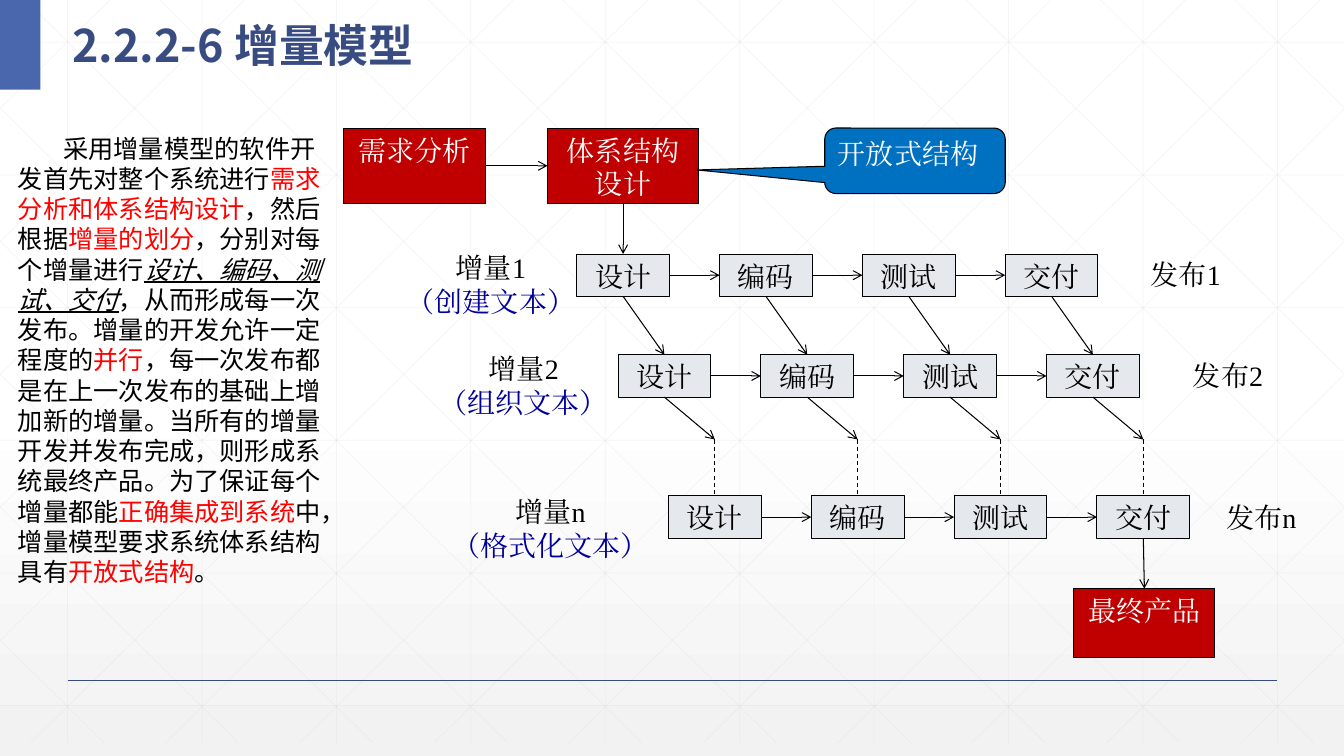
from lxml import etree
from pptx import Presentation
from pptx.dml.color import RGBColor
from pptx.enum.dml import MSO_LINE
from pptx.enum.shapes import MSO_CONNECTOR, MSO_SHAPE
from pptx.enum.text import MSO_ANCHOR, PP_ALIGN
from pptx.oxml.ns import qn
from pptx.util import Inches, Pt

BLACK = RGBColor(0x00, 0x00, 0x00)
WHITE = RGBColor(0xFF, 0xFF, 0xFF)
PALE = RGBColor(0xF2, 0xF2, 0xF2)
GRID = RGBColor(0xD9, 0xD9, 0xD9)
NAVY = RGBColor(0x38, 0x4C, 0x81)
ACCENT = RGBColor(0x4A, 0x66, 0xAC)
CRIMSON = RGBColor(0xC0, 0x00, 0x00)
RED = RGBColor(0xFF, 0x00, 0x00)
STEP = RGBColor(0xE5, 0xE9, 0xEE)
LABEL = RGBColor(0x00, 0x00, 0x99)
BLUE = RGBColor(0x00, 0x70, 0xC0)

WIDTH, HEIGHT = 13.33, 7.5
GRID_BOTTOM, GRID_RUN = 7.37, 7.45
TOP, LEFT, BOTTOM, RIGHT = range(4)

STEPS = ["设计", "编码", "测试", "交付"]
STEP_WIDTH, STEP_HEIGHT, STEP_PITCH = 0.92, 0.42, 4.25 / 3
PAUSE_Y = 4.36
# first step (left, top), label box, label name, label note, release (left, top), release name
INCREMENTS = [
    ((5.72, 2.52), (3.86, 2.44, 2.02, 0.72), "增量1", "（创建文本）", (11.3, 2.51), "发布1"),
    ((6.13, 3.52), (4.22, 3.44, 1.95, 0.83), "增量2", "（组织文本）", (11.72, 3.51), "发布2"),
    ((6.63, 4.92), (4.33, 4.86, 2.26, 0.66), "增量n", "（格式化文本）", (12.05, 4.92), "发布n"),
]
EMPHASIS = {"italic": True, "underline": True}
DESCRIPTION = [
    ("采用增量模型的软件开发首先对整个系统进行", {}),
    ("需求分析和体系结构设计", {"color": RED}),
    ("，然后根据", {}),
    ("增量的划分", {"color": RED}),
    ("，分别对每个增量进行", {}),
    ("设计、编码、测试、交付", EMPHASIS),
    ("，从而形成每一次发布。增量的开发允许一定程度的", {}),
    ("并行", {"color": RED}),
    ("，每一次发布都是在上一次发布的基础上增加新的增量。当所有的增量开发并发布完成，"
     "则形成系统最终产品。为了保证每个增量都能", {}),
    ("正确集成到系统", {"color": RED}),
    ("中，增量模型要求系统体系结构具有", {}),
    ("开放式结构", {"color": RED}),
    ("。", {}),
]


def add_span(para, text, color=BLACK, name="Times New Roman", size=20, **style):
    span = para.add_run()
    span.text = text
    for key, value in {"name": name, "size": Pt(size), **style}.items():
        setattr(span.font, key, value)
    span.font.color.rgb = color
    east_asian = etree.Element(qn("a:ea"), typeface=name)
    span.font._element.find(qn("a:latin")).addnext(east_asian)


def add_text(page, place, lines, align=PP_ALIGN.CENTER, anchor=MSO_ANCHOR.TOP):
    """Add a text box; each line is a list of (text, style) spans."""
    frame = page.shapes.add_textbox(*map(Inches, place)).text_frame
    frame.word_wrap = True
    frame.vertical_anchor = anchor
    for number, spans in enumerate(lines):
        para = frame.add_paragraph() if number else frame.paragraphs[0]
        para.alignment = align
        for text, style in spans:
            add_span(para, text, **style)
    return frame


def add_box(page, place, fill, text, color=WHITE, kind=MSO_SHAPE.RECTANGLE, align=PP_ALIGN.CENTER):
    box = page.shapes.add_shape(kind, *map(Inches, place))
    box.shadow.inherit = False
    box.fill.solid()
    box.fill.fore_color.rgb = fill
    box.line.color.rgb = BLACK
    box.line.width = Pt(0.75)
    box.text_frame.word_wrap = True
    box.text_frame.vertical_anchor = MSO_ANCHOR.TOP
    para = box.text_frame.paragraphs[0]
    para.alignment = align
    add_span(para, text, color)
    return box


def add_line(page, start, end, color=BLACK, width=0.75):
    line = page.shapes.add_connector(MSO_CONNECTOR.STRAIGHT, *map(Inches, (*start, *end)))
    line.line.color.rgb = color
    line.line.width = Pt(width)
    etree.SubElement(line._element.spPr, qn("a:effectLst"))
    return line


def add_link(page, start, end, arrow=True):
    """Join two ends, each either a point or a (box, side) pair."""
    ends = [(0, 0) if hasattr(target[0], "shape_type") else target for target in (start, end)]
    link = add_line(page, *ends)
    if hasattr(start[0], "shape_type"):
        link.begin_connect(*start)
    if hasattr(end[0], "shape_type"):
        link.end_connect(*end)
    if arrow:
        etree.SubElement(link.line._get_or_add_ln(), qn("a:tailEnd"), type="arrow")
    else:
        link.line.dash_style = MSO_LINE.DASH


def add_grid_line(page, start, end):
    line = add_line(page, start, end, GRID, 0.5)
    color = line._element.spPr.find(".//" + qn("a:srgbClr"))
    etree.SubElement(color, qn("a:alpha"), val="25000")


def add_diagonal(page, start_x, run):
    """Draw a slanted grid line, cut at the sides of the slide."""
    ends = []
    for x in (start_x, start_x + run):
        inside = min(max(x, 0), WIDTH)
        ends.append((inside, (inside - start_x) / run * GRID_BOTTOM))
    add_grid_line(page, *ends)


def add_backdrop(page):
    fill = page.background.fill
    fill.gradient()
    fill.gradient_angle = 270
    for stop, position, color in zip(fill.gradient_stops, (0.53, 1), (WHITE, PALE)):
        stop.position = position
        stop.color.rgb = color
    pitch = 4 / 3
    for column in range(10):
        x = 0.67 + column * pitch
        add_grid_line(page, (x, 0), (x, GRID_BOTTOM))
    for row in range(6):
        y = 0.42 + row * 1.316
        add_grid_line(page, (0, y), (WIDTH, y))
    for number in range(-5, 10):
        add_diagonal(page, 0.25 + number * pitch, GRID_RUN)
        add_diagonal(page, 13.09 - number * pitch, -GRID_RUN)
    add_line(page, (0.67, 6.75), (12.67, 6.75), NAVY, 1)
    tab = page.shapes.add_shape(MSO_SHAPE.RECTANGLE, 0, 0, Inches(0.4), Inches(0.89))
    tab.shadow.inherit = False
    tab.fill.solid()
    tab.fill.fore_color.rgb = ACCENT
    tab.line.fill.background()


def add_increment(page, origin, label_place, name, note, release_origin, release):
    """Add one row of steps with its label and release; return the step boxes."""
    left, top = origin
    boxes = [
        add_box(page, (left + number * STEP_PITCH, top, STEP_WIDTH, STEP_HEIGHT), STEP, step, BLACK)
        for number, step in enumerate(STEPS)
    ]
    for before, after in zip(boxes, boxes[1:]):
        add_link(page, (before, RIGHT), (after, LEFT))
    add_text(page, label_place, [[(name, {})], [(note, {"color": LABEL})]])
    add_text(page, (*release_origin, STEP_WIDTH, 0.6), [[(release, {})]])
    return boxes


def main():
    deck = Presentation()
    deck.slide_width, deck.slide_height = Inches(WIDTH), Inches(HEIGHT)
    page = deck.slides.add_slide(deck.slide_layouts[6])
    add_backdrop(page)

    title_style = {"name": "Noto Sans CJK SC", "size": 32, "color": NAVY, "bold": True}
    title = add_text(page, (0.62, 0, 9.35, 0.73), [[("2.2.2-6 增量模型", title_style)]],
                     PP_ALIGN.LEFT, MSO_ANCHOR.MIDDLE)
    title.paragraphs[0].line_spacing = 1.3

    analysis = add_box(page, (3.41, 1.27, 1.41, 0.75), CRIMSON, "需求分析")
    architecture = add_box(page, (5.43, 1.27, 1.5, 0.75), CRIMSON, "体系结构设计")
    first, second, last = [add_increment(page, *row) for row in INCREMENTS]
    product = add_box(page, (10.65, 5.84, 1.4, 0.68), CRIMSON, "最终产品")

    add_link(page, (analysis, RIGHT), (architecture, LEFT))
    add_link(page, (architecture, BOTTOM), (first[0], TOP))
    for number, (upper, middle, lower) in enumerate(zip(first, second, last)):
        pause = (INCREMENTS[-1][0][0] + STEP_WIDTH / 2 + number * STEP_PITCH, PAUSE_Y)
        add_link(page, (upper, BOTTOM), (middle, TOP))
        add_link(page, (middle, BOTTOM), pause)
        add_link(page, pause, (lower, TOP), arrow=False)
    add_link(page, (last[-1], BOTTOM), (product, TOP))

    callout = add_box(page, (8.18, 1.27, 1.79, 0.65), BLUE, "开放式结构",
                      kind=MSO_SHAPE.ROUNDED_RECTANGULAR_CALLOUT, align=PP_ALIGN.LEFT)
    for number, value in enumerate((-1.21, 0.14, 0.17)):
        callout.adjustments[number] = value

    spans = [(text, {"name": "Arial", "size": 18, **style}) for text, style in DESCRIPTION]
    description = add_text(page, (0.08, 1.27, 3.21, 4.64), [spans], PP_ALIGN.LEFT)
    description.paragraphs[0]._p.get_or_add_pPr().set("indent", str(Inches(0.45)))

    deck.save("out.pptx")


if __name__ == "__main__":
    main()
